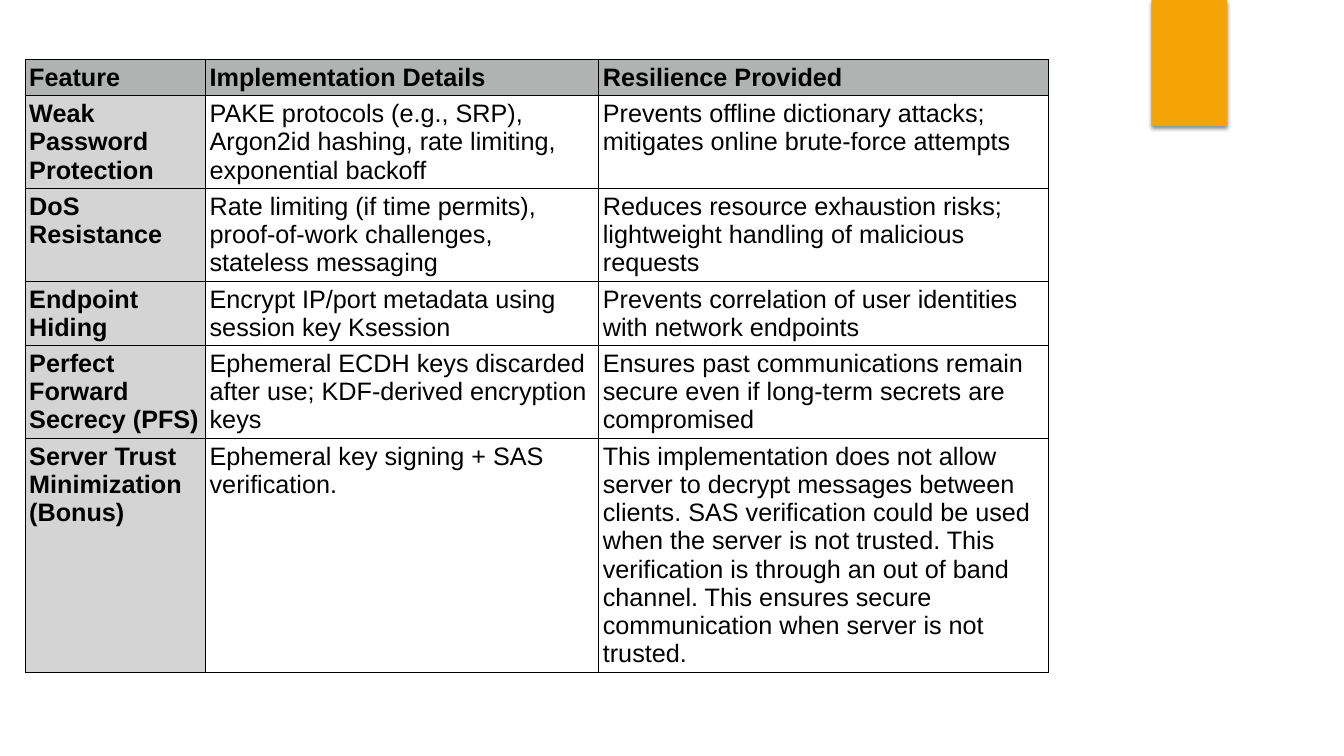
from dataclasses import dataclass

from lxml.etree import SubElement
from pptx import Presentation
from pptx.dml.color import RGBColor as Rgb
from pptx.enum.shapes import MSO_SHAPE as Shape
from pptx.oxml import parse_xml
from pptx.oxml.ns import nsdecls, qn
from pptx.util import Pt

PX = 9144  # 100 px to the inch


@dataclass(frozen=True)
class Theme:
    accent: str = "F5A408"
    header: str = "B0B3B2"
    feature: str = "D4D4D4"
    ink: str = "000000"
    font: str = "Arial"
    size: int = 18
    border: float = 0.75
    inset: int = 4


THEME = Theme()

COLUMNS = [179, 390, 446]
ROWS = [
    (36, "Feature", "Implementation Details", "Resilience Provided"),
    (92, "Weak Password Protection",
     "PAKE protocols (e.g., SRP), Argon2id hashing, rate limiting, exponential backoff",
     "Prevents offline dictionary attacks; mitigates online brute-force attempts"),
    (92, "DoS Resistance",
     "Rate limiting (if time permits), proof-of-work challenges, stateless messaging",
     "Reduces resource exhaustion risks; lightweight handling of malicious requests"),
    (64, "Endpoint Hiding",
     "Encrypt IP/port metadata using session key Ksession",
     "Prevents correlation of user identities with network endpoints"),
    (92, "Perfect Forward Secrecy (PFS)",
     "Ephemeral ECDH keys discarded after use; KDF-derived encryption keys",
     "Ensures past communications remain secure even if long-term secrets are compromised"),
    (232, "Server Trust Minimization (Bonus)",
     "Ephemeral key signing + SAS verification.",
     "This implementation does not allow server to decrypt messages between clients. "
     "SAS verification could be used when the server is not trusted. "
     "This verification is through an out of band channel. "
     "This ensures secure communication when server is not trusted."),
]


def set_all(target, values):
    for name, value in values.items():
        setattr(target, name, value)


def emu(box):
    return [length * PX for length in box]


def add_accent_tab(page, box):
    tab = page.shapes.add_shape(Shape.RECTANGLE, *emu(box))
    tab.fill.solid()
    tab.fill.fore_color.rgb = Rgb.from_string(THEME.accent)
    tab.line.fill.background()
    # Soft shadow straight below
    tab.shadow.inherit = False
    effects = tab.element.spPr.find(qn("a:effectLst"))
    shadow = SubElement(effects, qn("a:outerShdw"), blurRad=str(Pt(3)),
                        dist=str(Pt(2)), dir="5400000", rotWithShape="0")
    color = SubElement(shadow, qn("a:srgbClr"), val=THEME.ink)
    SubElement(color, qn("a:alpha"), val="45000")


def add_borders(cell):
    properties = cell._tc.get_or_add_tcPr()
    for index, side in enumerate("LRTB"):
        properties.insert(index, parse_xml(
            f'<a:ln{side} {nsdecls("a")} w="{Pt(THEME.border)}"><a:solidFill>'
            f'<a:srgbClr val="{THEME.ink}"/></a:solidFill></a:ln{side}>'))


def fill_cell(cell, text, fill):
    inset = THEME.inset * PX
    set_all(cell, {f"margin_{side}": inset
                   for side in ("left", "right", "top", "bottom")})
    if fill:
        cell.fill.solid()
        cell.fill.fore_color.rgb = Rgb.from_string(fill)
    else:
        cell.fill.background()
    add_borders(cell)
    span = cell.text_frame.paragraphs[0].add_run()
    span.text = text
    set_all(span.font, {"name": THEME.font, "size": Pt(THEME.size),
                        "bold": bool(fill)})
    span.font.color.rgb = Rgb.from_string(THEME.ink)


def add_feature_table(page, box):
    table = page.shapes.add_table(len(ROWS), len(COLUMNS), *emu(box)).table
    set_all(table, {"first_row": False, "horz_banding": False})
    for column, width in zip(table.columns, COLUMNS):
        column.width = width * PX
    for r, (height, *texts) in enumerate(ROWS):
        table.rows[r].height = height * PX
        for c, text in enumerate(texts):
            # Grey heading row and feature column, clear body
            fill = THEME.header if r == 0 else THEME.feature if c == 0 else None
            fill_cell(table.cell(r, c), text, fill)


def main():
    deck = Presentation()
    set_all(deck, {"slide_width": 1333 * PX, "slide_height": 750 * PX})
    page = deck.slides.add_slide(deck.slide_layouts[6])
    add_accent_tab(page, (1142, 0, 75, 125))
    add_feature_table(page, (25, 59, sum(COLUMNS), sum(row[0] for row in ROWS)))
    deck.save("out.pptx")


if __name__ == "__main__":
    main()
